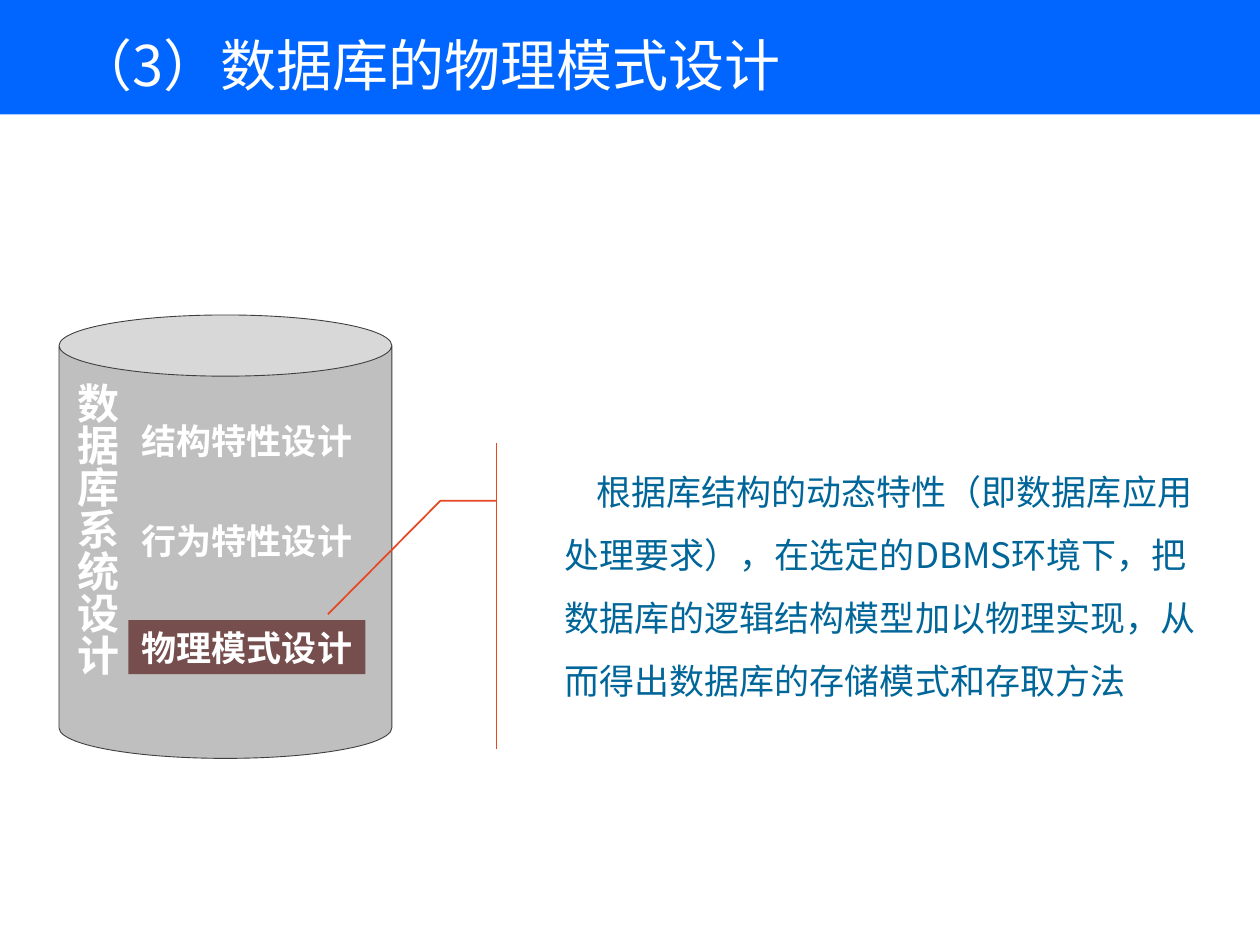
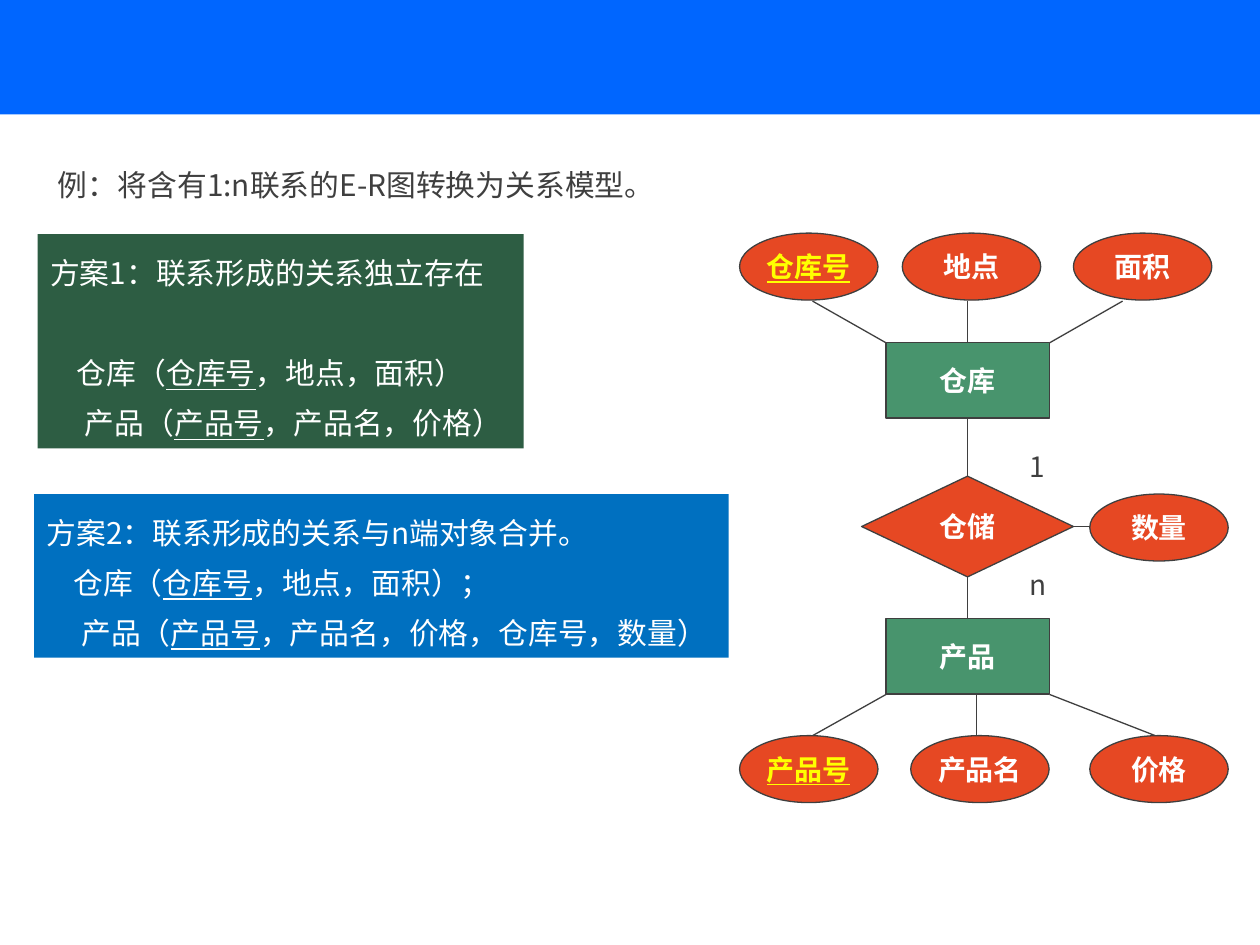
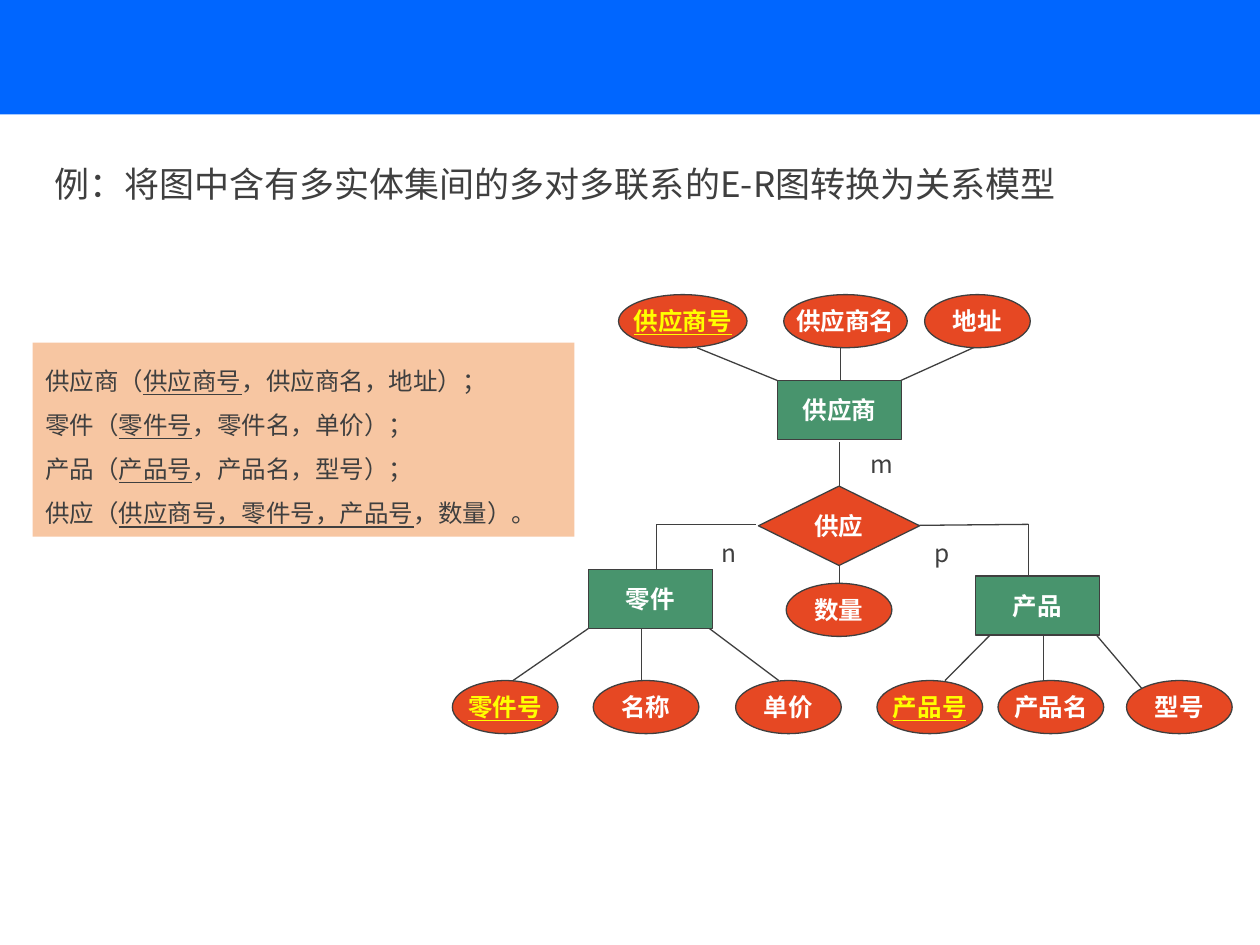
from dataclasses import dataclass

from pptx import Presentation
from pptx.dml.color import RGBColor
from pptx.enum.shapes import MSO_CONNECTOR, MSO_SHAPE
from pptx.enum.text import MSO_ANCHOR, PP_ALIGN
from pptx.oxml.ns import qn
from pptx.shapes.autoshape import Shape
from pptx.slide import Slide
from pptx.util import Cm, Pt
from lxml import etree

BLUE = RGBColor(0x00, 0x66, 0xFF)
WHITE = RGBColor(0xFF, 0xFF, 0xFF)
INK = RGBColor(0x3F, 0x3F, 0x3F)
GREY = RGBColor(0xBF, 0xBF, 0xBF)
BROWN = RGBColor(0x76, 0x4E, 0x4E)
ORANGE = RGBColor(0xE6, 0x48, 0x23)
GREEN = RGBColor(0x48, 0x94, 0x6D)
DARK_GREEN = RGBColor(0x2D, 0x5D, 0x43)
MID_BLUE = RGBColor(0x00, 0x70, 0xC0)
TEAL = RGBColor(0x00, 0x66, 0x99)
PEACH = RGBColor(0xF7, 0xC6, 0xA2)
YELLOW = RGBColor(0xFF, 0xFF, 0x00)

SC, KR = "Noto Sans CJK SC", "Noto Sans CJK KR"
LEFT, CENTER = PP_ALIGN.LEFT, PP_ALIGN.CENTER
TOP, MIDDLE, BOTTOM = MSO_ANCHOR.TOP, MSO_ANCHOR.MIDDLE, MSO_ANCHOR.BOTTOM
RECT, CAN = MSO_SHAPE.RECTANGLE, MSO_SHAPE.CAN
CALLOUT = MSO_SHAPE.LINE_CALLOUT_2_ACCENT_BAR
ENTITY = MSO_SHAPE.FLOWCHART_PROCESS
RELATION = MSO_SHAPE.FLOWCHART_DECISION
ATTRIBUTE = MSO_SHAPE.FLOWCHART_CONNECTOR
NODE_FILL = {ENTITY: GREEN, RELATION: ORANGE, ATTRIBUTE: ORANGE}
LINE_HEIGHT = 1.2

Box = tuple[float, float, float, float]
Segment = tuple[float, float, float, float]


@dataclass
class Style:
    size: float
    color: RGBColor
    bold: bool = False
    font: str = SC
    align: PP_ALIGN = LEFT
    anchor: MSO_ANCHOR = MIDDLE
    spacing: float = 0
    wrap: bool = True
    insets: Box = (0.25, 0.13, 0.25, 0.13)


@dataclass
class Line:
    """One paragraph; the text between a pair of bars is underlined."""
    text: str
    indent: float = 0
    before: float = 0


@dataclass
class Node:
    kind: MSO_SHAPE
    text: str
    left: float
    top: float
    key: bool = False
    width: float = 0


@dataclass
class Diagram:
    size: float
    node_sizes: dict[MSO_SHAPE, tuple[float, float]]
    nodes: list[Node]
    segments: list[Segment]
    cardinalities: list[tuple[str, Box]]


def write(s: Shape, lines: list[Line], style: Style) -> None:
    tf = s.text_frame
    left, top, right, bottom = (Cm(v) for v in style.insets)
    frame_format = {"word_wrap": style.wrap, "vertical_anchor": style.anchor,
                    "margin_left": left, "margin_top": top,
                    "margin_right": right, "margin_bottom": bottom}
    for name, value in frame_format.items():
        setattr(tf, name, value)
    for i, line in enumerate(lines):
        p = tf.add_paragraph() if i else tf.paragraphs[0]
        p.alignment = style.align
        if style.spacing:
            p.line_spacing = Pt(round(style.size * LINE_HEIGHT * style.spacing, 1))
        if line.before:
            p.space_before = Pt(line.before)
        if line.indent:
            pPr = p._p.get_or_add_pPr()
            pPr.set("marL", "0")
            pPr.set("indent", str(Cm(line.indent)))
        for j, part in enumerate(line.text.split("|")):
            if not part:
                continue
            r = p.add_run()
            r.text = part
            font_format = {"size": Pt(style.size), "bold": style.bold,
                           "name": style.font, "underline": j % 2 == 1}
            for name, value in font_format.items():
                setattr(r.font, name, value)
            r.font.color.rgb = style.color
            ea = etree.SubElement(r._r.get_or_add_rPr(), qn("a:ea"))
            ea.set("typeface", style.font)


def add_text(slide: Slide, box: Box, lines: list[Line], style: Style) -> None:
    write(slide.shapes.add_textbox(*(Cm(v) for v in box)), lines, style)


def add_shape(slide: Slide, kind: MSO_SHAPE, box: Box, fill: RGBColor,
              line: RGBColor | None = None, weight: float = 0.75) -> Shape:
    s = slide.shapes.add_shape(kind, *(Cm(v) for v in box))
    s.shadow.inherit = False
    s.fill.solid()
    s.fill.fore_color.rgb = fill
    if line is None:
        s.line.fill.background()
    else:
        s.line.color.rgb = line
        s.line.width = Pt(weight)
    return s


def add_panel(slide: Slide, box: Box, fill: RGBColor, lines: list[Line],
              style: Style) -> None:
    write(add_shape(slide, RECT, box, fill), lines, style)


def add_line(slide: Slide, segment: Segment) -> None:
    c = slide.shapes.add_connector(MSO_CONNECTOR.STRAIGHT, *(Cm(v) for v in segment))
    c.line.color.rgb = INK
    c.line.width = Pt(0.75)
    etree.SubElement(c._element.spPr, qn("a:effectLst"))


def add_diagram(slide: Slide, diagram: Diagram) -> None:
    for segment in diagram.segments:
        add_line(slide, segment)
    for node in diagram.nodes:
        width, height = diagram.node_sizes[node.kind]
        box = (node.left, node.top, node.width or width, height)
        s = add_shape(slide, node.kind, box, NODE_FILL[node.kind], INK)
        text = f"|{node.text}|" if node.key else node.text
        write(s, [Line(text)], Style(diagram.size, YELLOW if node.key else WHITE, True,
                                     align=CENTER, wrap=False, insets=(0, 0, 0, 0)))
    for text, box in diagram.cardinalities:
        add_text(slide, box, [Line(text)],
                 Style(diagram.size, INK, insets=(0.25, 0, 0, 0)))


def add_banded_slide(prs: Presentation) -> Slide:
    slide = prs.slides.add_slide(prs.slide_layouts[6])
    add_shape(slide, RECT, (0, 0, 25.5, 2.31), BLUE)
    return slide


def build_physical_design(prs: Presentation) -> None:
    slide = add_banded_slide(prs)
    add_text(slide, (1.3, 0.3, 22.83, 1.98), [Line("（3）数据库的物理模式设计")],
             Style(32, WHITE))

    can = add_shape(slide, CAN, (1.19, 6.35, 6.71, 8.94), GREY, INK, 0.5)
    can.adjustments[0] = 0.184
    write(can, [Line("数据库系统设计")],
          Style(24, WHITE, True, align=CENTER, anchor=BOTTOM, wrap=False))
    can.text_frame._txBody.bodyPr.set("vert", "eaVert")

    stage = Style(20, WHITE, True, KR, CENTER, wrap=False)
    for text, top in (("结构特性设计", 8.33), ("行为特性设计", 10.36)):
        add_text(slide, (2.59, top, 4.78, 1.09), [Line(text)], stage)
    add_panel(slide, (2.59, 12.5, 4.78, 1.09), BROWN, [Line("物理模式设计")], stage)

    callout = add_shape(slide, CALLOUT, (11.13, 8.94, 13.49, 6.15), WHITE, ORANGE, 1)
    for i, value in enumerate((0.188, -0.083, 0.188, -0.167, 0.56, -0.335)):
        callout.adjustments[i] = value
    text = ("根据库结构的动态特性（即数据库应用处理要求），在选定的DBMS环境下，"
            "把数据库的逻辑结构模型加以物理实现，从而得出数据库的存储模式和存取方法")
    write(callout, [Line(text, indent=0.64)], Style(20, TEAL, anchor=TOP, spacing=1.5))


def build_one_to_many(prs: Presentation) -> None:
    slide = add_banded_slide(prs)
    add_text(slide, (0.18, 2.97, 14.38, 3.15),
             [Line("例：将含有1:n联系的E-R图转换为关系模型。", indent=0.74)],
             Style(17, INK, anchor=TOP, spacing=1.4, insets=(0.25, 0.1, 0.25, 0)))

    upper, lower = 4.7, 14.83
    add_diagram(slide, Diagram(
        size=16,
        node_sizes={ENTITY: (3.3, 1.52), RELATION: (4.27, 2.03), ATTRIBUTE: (2.79, 1.35)},
        nodes=[
            Node(RELATION, "仓储", 17.37, 9.6),
            Node(ENTITY, "仓库", 17.86, 6.91),
            Node(ENTITY, "产品", 17.86, 12.47),
            Node(ATTRIBUTE, "仓库号", 14.91, upper, key=True),
            Node(ATTRIBUTE, "地点", 18.19, upper),
            Node(ATTRIBUTE, "面积", 21.64, upper),
            Node(ATTRIBUTE, "产品号", 14.91, lower, key=True),
            Node(ATTRIBUTE, "产品名", 18.36, lower),
            Node(ATTRIBUTE, "价格", 21.97, lower),
            Node(ATTRIBUTE, "数量", 21.97, 9.96),
        ],
        segments=[
            (17.86, 14, 16.38, lower), (19.69, 14, 19.69, lower), (21.16, 14, 23.29, lower),
            (19.51, 11.63, 19.51, 12.47), (19.51, 9.6, 19.51, 8.43),
            (17.86, 6.91, 16.38, 6.07), (19.51, 6.91, 19.51, 6.07),
            (21.16, 6.91, 22.63, 6.07), (21.49, 10.62, 21.97, 10.62),
        ],
        cardinalities=[("1", (20.5, 8.94, 0.81, 0.94)), ("n", (20.5, 11.3, 0.81, 0.94))],
    ))

    scheme = Style(17, WHITE, anchor=TOP, spacing=1.4, insets=(0.25, 0.13, 0, 0.13))
    add_panel(slide, (0.76, 4.72, 9.8, 4.32), DARK_GREEN, [
        Line("方案1：联系形成的关系独立存在"),
        Line("仓库（|仓库号|，地点，面积）", indent=0.54, before=28.6),
        Line("产品（|产品号|，产品名，价格）", indent=0.7),
    ], scheme)
    add_panel(slide, (0.69, 9.96, 14, 3.3), MID_BLUE, [
        Line("方案2：联系形成的关系与n端对象合并。"),
        Line("仓库（|仓库号|，地点，面积）；", indent=0.54),
        Line("产品（|产品号|，产品名，价格，仓库号，数量）", indent=0.7),
    ], scheme)


def build_many_to_many(prs: Presentation) -> None:
    slide = add_banded_slide(prs)
    add_text(slide, (0.84, 3.18, 23.8, 0.97),
             [Line("例：将图中含有多实体集间的多对多联系的E-R图转换为关系模型")],
             Style(20, INK, anchor=TOP, spacing=1, insets=(0.25, 0.1, 0.25, 0)))

    upper, lower = 5.94, 13.72
    add_diagram(slide, Diagram(
        size=14,
        node_sizes={ENTITY: (2.51, 1.19), RELATION: (3.25, 1.6), ATTRIBUTE: (2.13, 1.07)},
        nodes=[
            Node(RELATION, "供应", 15.29, 9.8),
            Node(ENTITY, "供应商", 15.67, 7.67),
            Node(ENTITY, "零件", 11.86, 11.48),
            Node(ENTITY, "产品", 19.66, 11.61),
            Node(ATTRIBUTE, "供应商号", 12.47, upper, key=True, width=2.59),
            Node(ATTRIBUTE, "供应商名", 15.8, upper, width=2.49),
            Node(ATTRIBUTE, "地址", 18.64, upper),
            Node(ATTRIBUTE, "数量", 15.85, 11.76),
            Node(ATTRIBUTE, "零件号", 9.12, lower, key=True),
            Node(ATTRIBUTE, "名称", 11.96, lower),
            Node(ATTRIBUTE, "单价", 14.83, lower),
            Node(ATTRIBUTE, "产品号", 17.68, lower, key=True),
            Node(ATTRIBUTE, "产品名", 20.12, lower),
            Node(ATTRIBUTE, "型号", 22.71, lower),
        ],
        segments=[
            (15.67, 7.67, 14.05, 7.01), (16.94, 7.7, 16.94, 6.96), (18.16, 7.67, 19.91, 6.88),
            (16.92, 9.83, 16.92, 8.92), (16.92, 11.33, 16.92, 11.76),
            (15.24, 10.57, 13.23, 10.57), (13.23, 10.57, 13.23, 11.48),
            (18.54, 10.59, 20.73, 10.57), (20.73, 10.57, 20.73, 11.61),
            (11.86, 12.67, 10.34, lower), (12.93, 12.67, 12.93, lower),
            (14.3, 12.67, 15.7, lower), (19.96, 12.8, 19.05, lower),
            (21.03, 12.8, 21.03, lower), (22.1, 12.8, 23.01, 13.87),
        ],
        cardinalities=[("m", (17.3, 8.92, 0.86, 0.86)), ("n", (14.3, 10.72, 0.64, 0.86)),
                       ("p", (18.59, 10.72, 0.76, 0.86))],
    ))

    add_panel(slide, (0.66, 6.91, 10.92, 3.91), PEACH, [
        Line("供应商（|供应商号|，供应商名，地址）；"),
        Line("零件（|零件号|，零件名，单价）；"),
        Line("产品（|产品号|，产品名，型号）；"),
        Line("供应（|供应商号，零件号，产品号|，数量）。"),
    ], Style(14, INK, spacing=1.5))


def main() -> None:
    prs = Presentation()
    prs.slide_width, prs.slide_height = Cm(25.4), Cm(19.05)
    build_physical_design(prs)
    build_one_to_many(prs)
    build_many_to_many(prs)
    prs.save("out.pptx")


if __name__ == "__main__":
    main()
